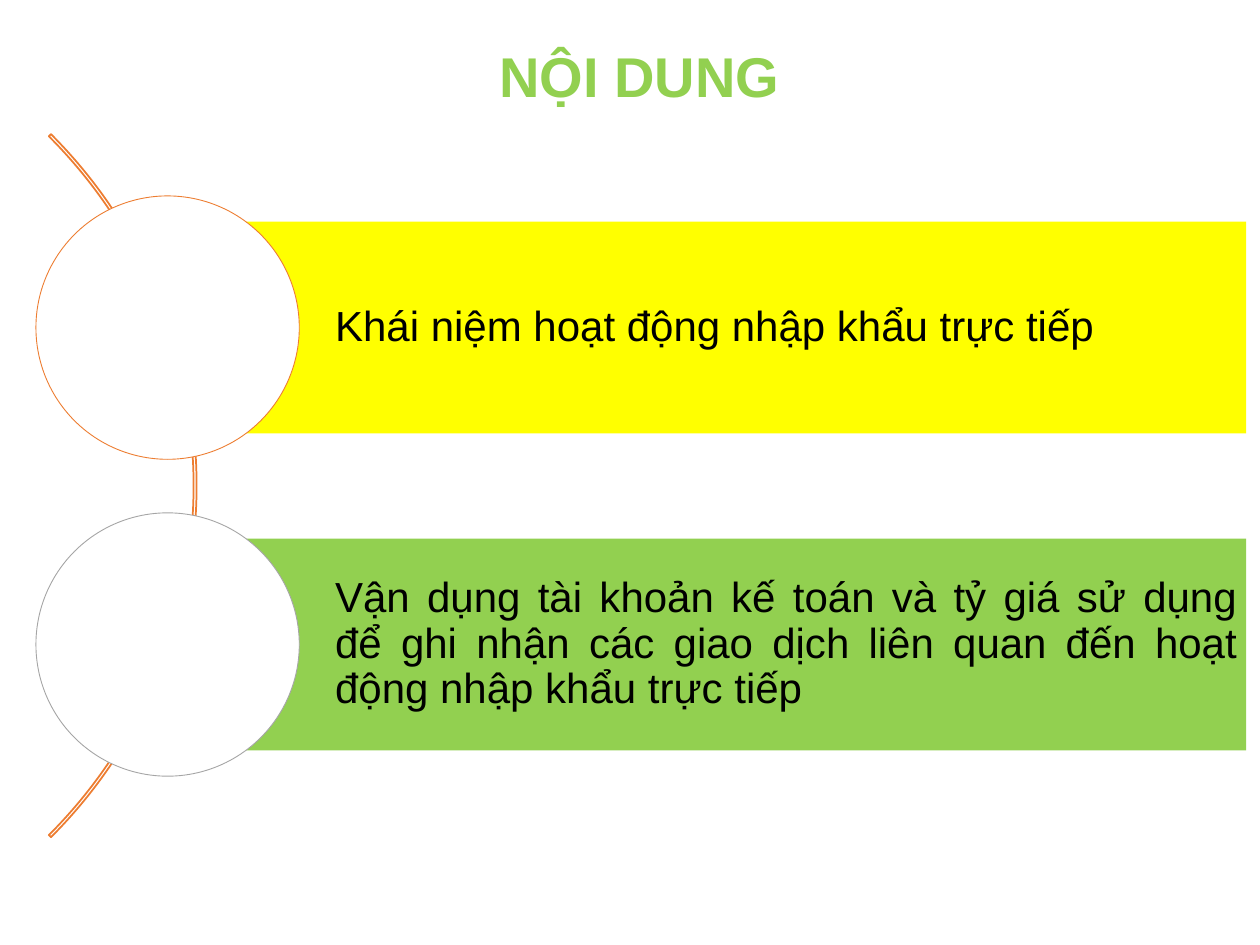
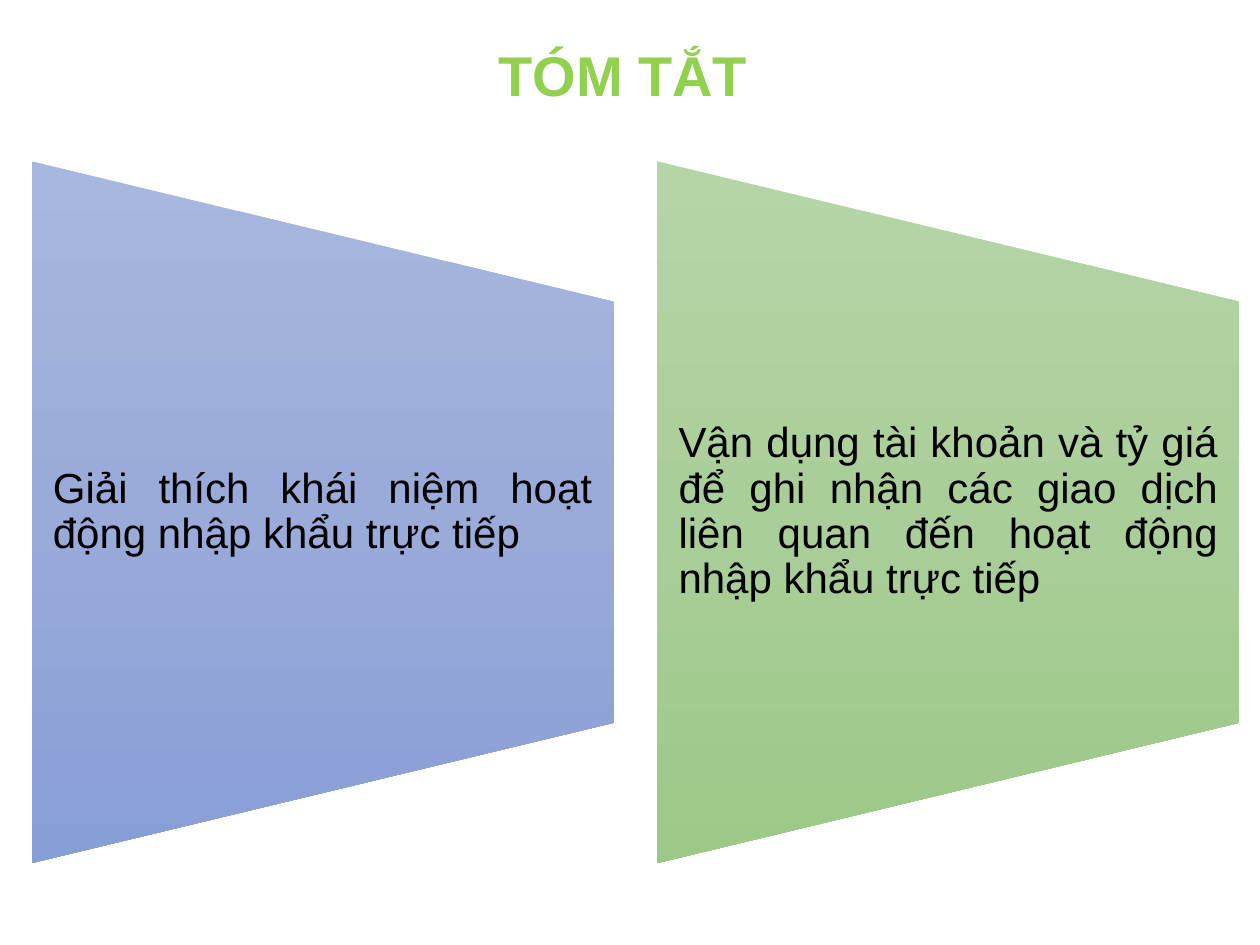
from copy import deepcopy

from pptx import Presentation
from pptx.dml.color import RGBColor
from pptx.enum.shapes import MSO_SHAPE
from pptx.enum.text import MSO_ANCHOR, MSO_AUTO_SIZE, PP_ALIGN
from pptx.oxml.ns import qn
from pptx.util import Inches, Pt

BLACK = RGBColor(0x00, 0x00, 0x00)
WHITE = RGBColor(0xFF, 0xFF, 0xFF)
GREEN = RGBColor(0x92, 0xD0, 0x50)
YELLOW = RGBColor(0xFF, 0xFF, 0x00)
ORANGE = RGBColor(0xED, 0x7D, 0x31)
GREY = RGBColor(0xA5, 0xA5, 0xA5)
BLUE_SHADES = [RGBColor(0xA8, 0xB7, 0xDF), RGBColor(0x9A, 0xAB, 0xD9), RGBColor(0x88, 0x9E, 0xD7)]
GREEN_SHADES = [RGBColor(0xB5, 0xD5, 0xA7), RGBColor(0xAA, 0xCE, 0x9A), RGBColor(0x9C, 0xC9, 0x87)]

FONT = "Arial"
CENTER, JUSTIFY = PP_ALIGN.CENTER, PP_ALIGN.JUSTIFY
MIDDLE = MSO_ANCHOR.MIDDLE
GROW = MSO_AUTO_SIZE.SHAPE_TO_FIT_TEXT
ARC, BAR, CIRCLE = MSO_SHAPE.BLOCK_ARC, MSO_SHAPE.RECTANGLE, MSO_SHAPE.OVAL
TRAPEZOID = MSO_SHAPE.FLOWCHART_MANUAL_OPERATION
TITLE_ONLY = 5

CONTENTS_TITLE = ("NỘI DUNG", (3.85, 0.28, 2.45, 0.64))
TOPICS = [
    ("Khái niệm hoạt động nhập khẩu trực tiếp", YELLOW, ORANGE),
    ("Vận dụng tài khoản kế toán và tỷ giá sử dụng để ghi nhận các giao dịch "
     "liên quan đến hoạt động nhập khẩu trực tiếp", GREEN, GREY),
]
SUMMARY_TITLE = ("TÓM TẮT", (3.85, 0.27, 2.19, 0.64))
SUMMARIES = [
    ("Giải thích khái niệm hoạt động nhập khẩu trực tiếp", BLUE_SHADES),
    ("Vận dụng tài khoản và tỷ giá để ghi nhận các giao dịch liên quan đến "
     "hoạt động nhập khẩu trực tiếp", GREEN_SHADES),
]

ARC_SIZE = 7.89
BAR_LEFT, BAR_TOP, BAR_WIDTH, BAR_HEIGHT, BAR_STEP = 1.33, 1.76, 8.56, 1.68, 2.515
CIRCLE_SIZE = 2.09
PANEL_LEFT, PANEL_TOP, PANEL_WIDTH, PANEL_HEIGHT, PANEL_STEP = 0.25, 1.28, 4.62, 5.57, 4.965


def write_text(shape, text, size=24, color=BLACK, bold=False, align=JUSTIFY,
               spacing=0.9, insets=(0.1, 0.05, 0.1, 0.05), wrap=True):
    frame = shape.text_frame
    frame.word_wrap = wrap
    frame.vertical_anchor = MIDDLE
    frame.margin_left, frame.margin_top, frame.margin_right, frame.margin_bottom = map(Inches, insets)
    frame.text = text
    paragraph = frame.paragraphs[0]
    paragraph.alignment = align
    paragraph.line_spacing = spacing
    font = paragraph.runs[0].font
    font.name, font.size, font.bold = FONT, Pt(size), bold
    font.color.rgb = color


def add_figure(slide, preset, box, fill=None, line=None, line_width=1):
    figure = slide.shapes.add_shape(preset, *map(Inches, box))
    figure.shadow.inherit = False
    if fill is None:
        figure.fill.background()
    else:
        figure.fill.solid()
        figure.fill.fore_color.rgb = fill
    if line is None:
        figure.line.fill.background()
    else:
        figure.line.color.rgb = line
        figure.line.width = Pt(line_width)
    return figure


def shade_downwards(figure, shades):
    figure.fill.gradient()
    figure.fill.gradient_angle = 270
    gradient = figure._element.spPr.find(qn("a:gradFill"))
    gradient.set("rotWithShape", "0")
    first = gradient.find(qn("a:gsLst"))[0]
    first.addnext(deepcopy(first))
    for stop, shade, position in zip(figure.fill.gradient_stops, shades, (0, 0.5, 1)):
        stop.color.rgb = shade
        stop.position = position


def add_titled_slide(deck, text, box):
    slide = deck.slides.add_slide(deck.slide_layouts[TITLE_ONLY])
    title = slide.shapes.title
    title.left, title.top, title.width, title.height = map(Inches, box)
    write_text(title, text, size=32, color=GREEN, bold=True, align=CENTER, spacing=1.0, wrap=False)
    title.text_frame.auto_size = GROW
    return slide


def build_contents(deck):
    slide = add_titled_slide(deck, *CONTENTS_TITLE)
    arc = add_figure(slide, ARC, (-6.33, -0.09, ARC_SIZE, ARC_SIZE), line=ORANGE)
    for index, value in enumerate((189, 27, 0.003)):
        arc.adjustments[index] = value
    for row, (topic, bar_color, ring_color) in enumerate(TOPICS):
        top = BAR_TOP + row * BAR_STEP
        bar = add_figure(slide, BAR, (BAR_LEFT, top, BAR_WIDTH, BAR_HEIGHT), bar_color)
        write_text(bar, topic, insets=(1.33, 0.07, 0.07, 0.07))
        circle_top = top + (BAR_HEIGHT - CIRCLE_SIZE) / 2
        add_figure(slide, CIRCLE, (BAR_LEFT - CIRCLE_SIZE / 2, circle_top, CIRCLE_SIZE, CIRCLE_SIZE),
                   WHITE, ring_color, 0.5)


def build_summary(deck):
    slide = add_titled_slide(deck, *SUMMARY_TITLE)
    turn = (PANEL_HEIGHT - PANEL_WIDTH) / 2
    text_height = PANEL_HEIGHT * 0.6
    text_top = PANEL_TOP + (PANEL_HEIGHT - text_height) / 2
    for column, (summary, shades) in enumerate(SUMMARIES):
        left = PANEL_LEFT + column * PANEL_STEP
        panel = add_figure(slide, TRAPEZOID, (left - turn, PANEL_TOP + turn, PANEL_HEIGHT, PANEL_WIDTH))
        panel.rotation = 270
        shade_downwards(panel, shades)
        label = slide.shapes.add_textbox(*map(Inches, (left, text_top, PANEL_WIDTH, text_height)))
        write_text(label, summary, insets=(0.17, 0, 0.17, 0))


def main():
    deck = Presentation()
    deck.slide_width, deck.slide_height = Inches(10), Inches(7.5)
    build_contents(deck)
    build_summary(deck)
    deck.save("out.pptx")


if __name__ == "__main__":
    main()
